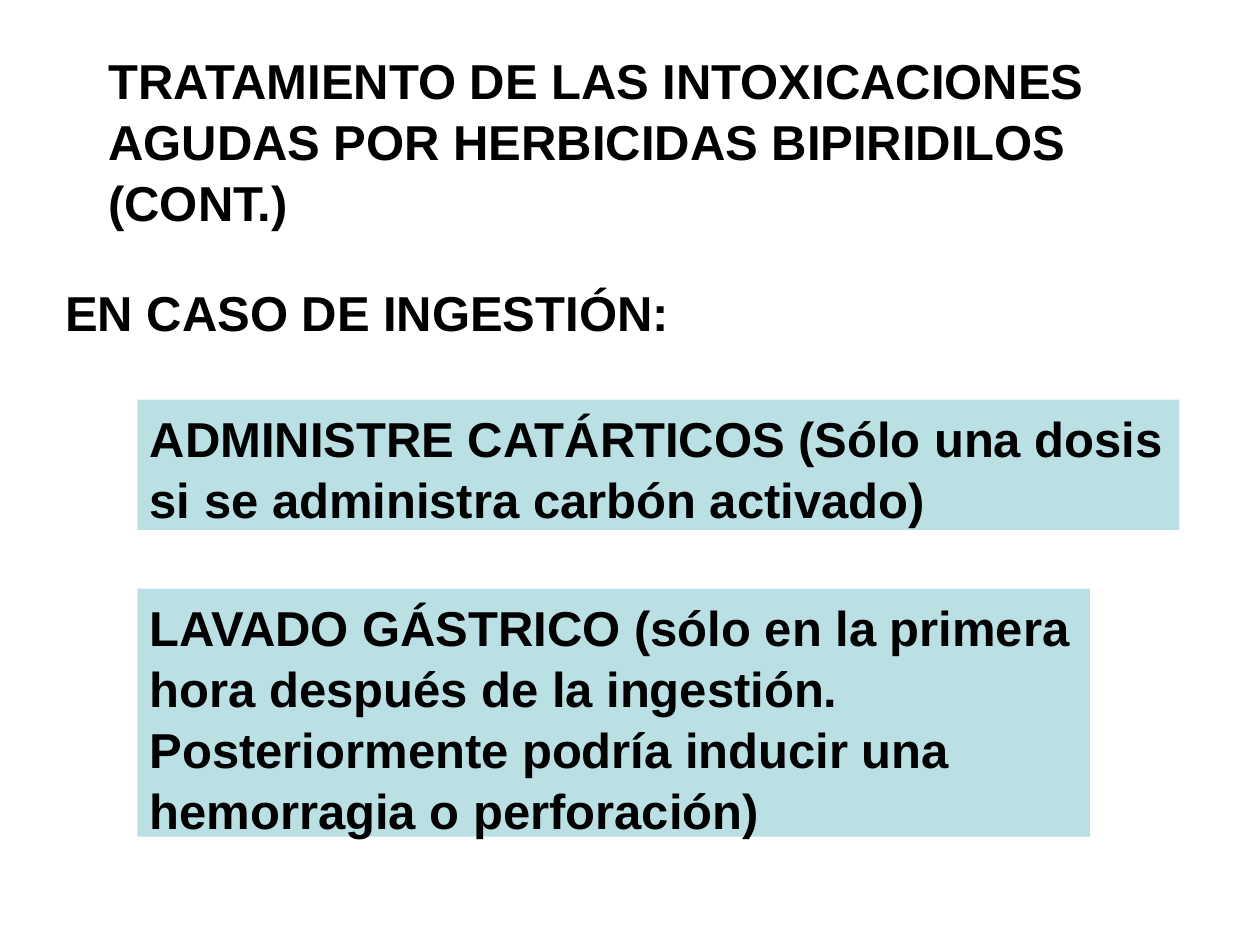
from pptx import Presentation
from pptx.dml.color import RGBColor
from pptx.enum.shapes import MSO_SHAPE
from pptx.enum.text import MSO_ANCHOR, MSO_AUTO_SIZE, PP_ALIGN
from pptx.util import Inches, Pt

RECTANGLE = MSO_SHAPE.RECTANGLE
TOP = MSO_ANCHOR.TOP
GROW = MSO_AUTO_SIZE.SHAPE_TO_FIT_TEXT
LEFT = PP_ALIGN.LEFT

SLIDE_WIDTH, SLIDE_HEIGHT = Inches(10), Inches(7.5)
TITLE_ONLY = 5
LINE_HEIGHT, PADDING = 0.467, 0.05
LINE_SPACING = 1.04
BLACK, PALE_TEAL = "000000", "BBE0E3"
TEXT_FORMAT = {"name": "Arial", "size": Pt(28), "bold": True}

TITLE = [
    "TRATAMIENTO DE LAS INTOXICACIONES",
    "AGUDAS POR HERBICIDAS BIPIRIDILOS",
    "(CONT.)",
]
CASE = ["EN CASO DE INGESTIÓN:"]
CATHARTICS = [
    "ADMINISTRE CATÁRTICOS (Sólo una dosis",
    "si se administra carbón activado)",
]
GASTRIC_LAVAGE = [
    "LAVADO GÁSTRICO (sólo en la primera",
    "hora después de la ingestión.",
    "Posteriormente podría inducir una",
    "hemorragia o perforación)",
]


def rgb(value):
    return RGBColor.from_string(value)


def box_for(lines, left, top, width):
    """Turn shares of the slide into a box as tall as its lines."""
    height = Inches(len(lines) * LINE_HEIGHT + 2 * PADDING)
    return (int(left * SLIDE_WIDTH), int(top * SLIDE_HEIGHT),
            int(width * SLIDE_WIDTH), height)


def write_lines(frame, lines):
    frame.word_wrap = False
    frame.auto_size = GROW
    frame.vertical_anchor = TOP
    for index, line in enumerate(lines):
        paragraph = frame.paragraphs[0] if index == 0 else frame.add_paragraph()
        paragraph.alignment = LEFT
        paragraph.line_spacing = LINE_SPACING
        run = paragraph.add_run()
        run.text = line
        for key, value in TEXT_FORMAT.items():
            setattr(run.font, key, value)
        run.font.color.rgb = rgb(BLACK)


def place_title(slide, lines, box):
    title = slide.shapes.title
    title.left, title.top, title.width, title.height = box
    write_lines(title.text_frame, lines)


def add_heading(slide, lines, box):
    heading = slide.shapes.add_textbox(*box)
    write_lines(heading.text_frame, lines)


def add_measure(slide, lines, box):
    """Add a treatment step on a tinted panel."""
    panel = slide.shapes.add_shape(RECTANGLE, *box)
    panel.shadow.inherit = False
    panel.fill.solid()
    panel.fill.fore_color.rgb = rgb(PALE_TEAL)
    panel.line.fill.background()
    write_lines(panel.text_frame, lines)


def main():
    deck = Presentation()
    deck.slide_width, deck.slide_height = SLIDE_WIDTH, SLIDE_HEIGHT
    slide = deck.slides.add_slide(deck.slide_layouts[TITLE_ONLY])
    place_title(slide, TITLE, box_for(TITLE, 0.076, 0.044, 0.801))
    add_heading(slide, CASE, box_for(CASE, 0.042, 0.29, 0.499))
    add_measure(slide, CATHARTICS, box_for(CATHARTICS, 0.109, 0.423, 0.827))
    add_measure(slide, GASTRIC_LAVAGE,
                box_for(GASTRIC_LAVAGE, 0.109, 0.623, 0.756))
    deck.save("out.pptx")


if __name__ == "__main__":
    main()
